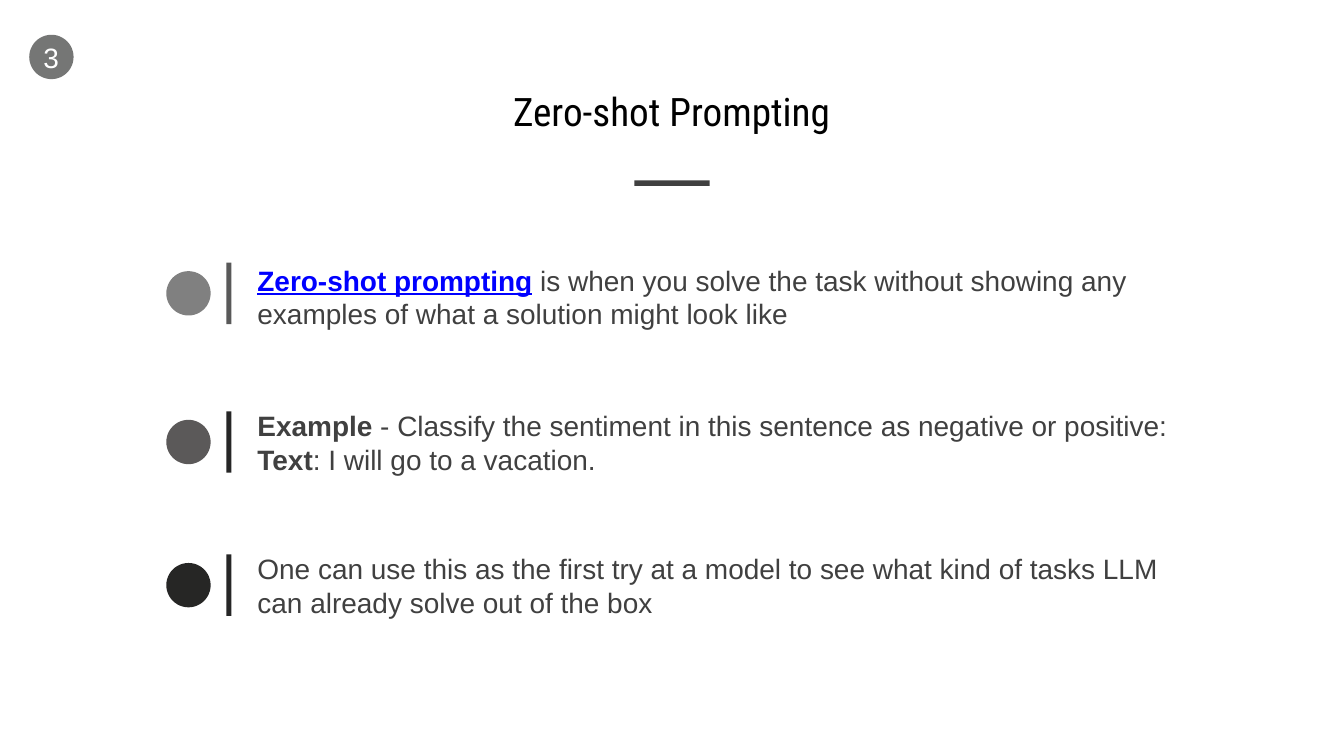
import pptx
import pptx.util
import pptx.dml.color
import pptx.enum.shapes
import pptx.enum.text

SLIDE_W, SLIDE_H = 26.67, 15
TITLE = "Zero-shot Prompting"
PAGE = "3"
BODY, LINK = "404040", "0000FF"

# bar top, text top, dot colour, bar colour, paragraphs of (text, style) runs
POINTS = [
    (5.21, 5.12, "808080", "595959", [
        [("Zero-shot prompting", "link"),
         (" is when you solve the task without showing any examples "
          "of what a solution might look like", "plain")]]),
    (8.16, 8.01, "5B5959", "262626", [
        [("Example", "bold"),
         (" - Classify the sentiment in this sentence as negative or positive:", "plain")],
        [("Text", "bold"), (": I will go to a vacation.", "plain")]]),
    (11, 10.85, "262625", "262626", [
        [("One can use this as the first try at a model to see what kind of tasks "
          "LLM can already solve out of the box", "plain")]]),
]

DOT = 0.88
DOT_X, BAR_X, TEXT_X = 3.3, 4.49, 5.01
BAR_W, BAR_H = 0.1, 1.22
TEXT_W, TEXT_H = 18.36, 1.53
RULE_W = 1.49

SHAPE = pptx.enum.shapes.MSO_SHAPE
ALIGN = pptx.enum.text.PP_ALIGN
ANCHOR = pptx.enum.text.MSO_ANCHOR
inch = pptx.util.Inches


def rgb(value):
    return pptx.dml.color.RGBColor.from_string(value)


def add_block(s, kind, x, y, w, h, colour):
    """Add a preset shape with a plain fill and no outline."""
    sp = s.shapes.add_shape(kind, inch(x), inch(y), inch(w), inch(h))
    sp.shadow.inherit = False
    sp.fill.solid()
    sp.fill.fore_color.rgb = rgb(colour)
    sp.line.fill.background()


def add_text(s, x, y, w, h, paragraphs, size=40, font="Arial", colour=BODY,
             align=ALIGN.LEFT, anchor=ANCHOR.TOP, inset=0.1, wrap=True, spacing=1.0):
    tf = s.shapes.add_textbox(inch(x), inch(y), inch(w), inch(h)).text_frame
    tf.word_wrap = wrap
    tf.vertical_anchor = anchor
    tf.margin_left = tf.margin_right = tf.margin_top = tf.margin_bottom = inch(inset)
    for i, runs in enumerate(paragraphs):
        p = tf.add_paragraph() if i else tf.paragraphs[0]
        p.alignment = align
        p.line_spacing = spacing
        p.font.size = pptx.util.Pt(size)
        p.font.name = font
        p.font.color.rgb = rgb(colour)
        for text, style in runs:
            r = p.add_run()
            r.text = text
            r.font.bold = style != "plain"
            if style == "link":
                r.font.underline = True
                r.font.color.rgb = rgb(LINK)


prs = pptx.Presentation()
prs.slide_width, prs.slide_height = inch(SLIDE_W), inch(SLIDE_H)
s = prs.slides.add_slide(prs.slide_layouts[6])

add_text(s, 1.83, 1.58, 23, 1.34, [[(TITLE, "plain")]], size=56, font="Roboto Condensed",
         colour="000000", align=ALIGN.CENTER, anchor=ANCHOR.MIDDLE, spacing=0.9)
add_block(s, SHAPE.RECTANGLE, (SLIDE_W - RULE_W) / 2, 3.58, RULE_W, 0.11, BODY)

add_block(s, SHAPE.OVAL, 0.58, 0.69, DOT, DOT, "757675")
add_text(s, 0.8, 0.74, 0.43, 0.78, [[(PAGE, "plain")]], colour="FFFFFF",
         align=ALIGN.CENTER, anchor=ANCHOR.MIDDLE, inset=0.06, wrap=False)

for bar_y, text_y, dot_colour, bar_colour, paragraphs in POINTS:
    dot_y = bar_y + (BAR_H - DOT) / 2
    add_block(s, SHAPE.OVAL, DOT_X, dot_y, DOT, DOT, dot_colour)
    add_block(s, SHAPE.RECTANGLE, BAR_X, bar_y, BAR_W, BAR_H, bar_colour)
    add_text(s, TEXT_X, text_y, TEXT_W, TEXT_H, paragraphs)

prs.save("out.pptx")
